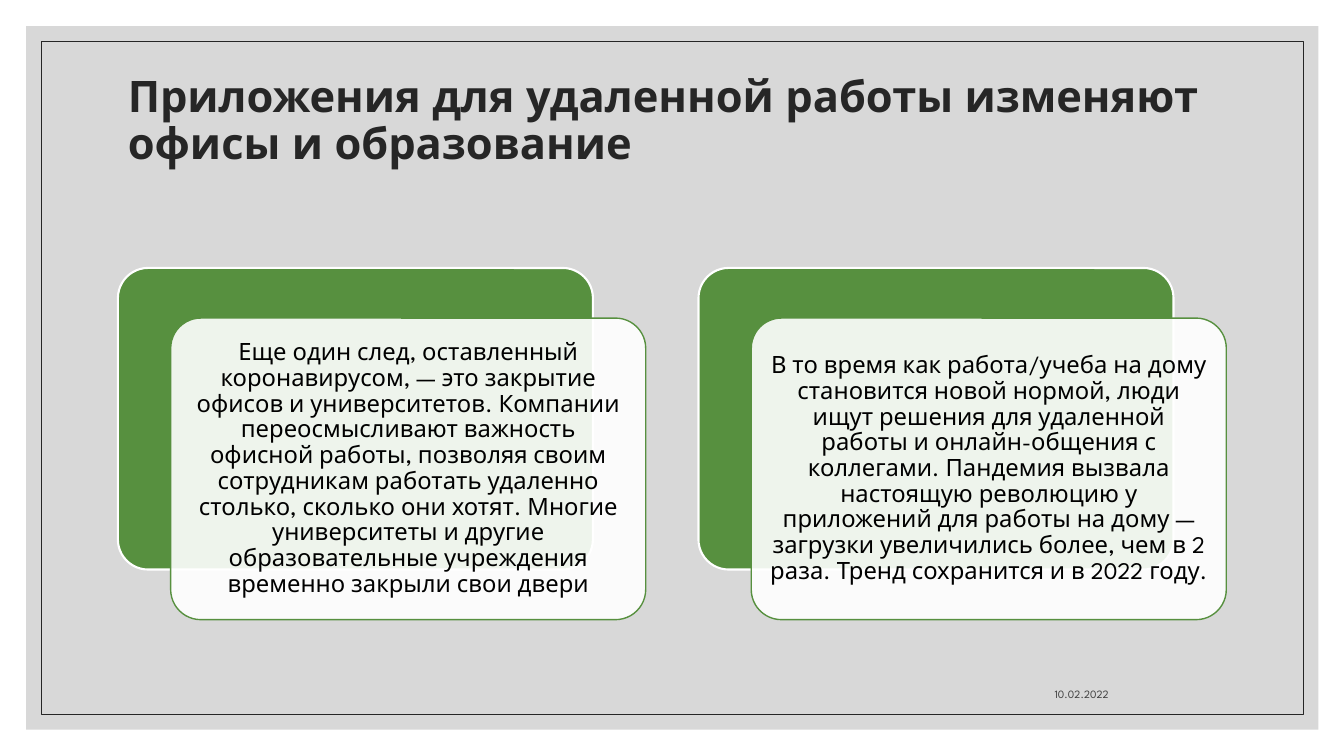
"""Build the slide on remote-work apps with two layered text cards."""
from dataclasses import dataclass

from lxml import etree
from pptx import Presentation
from pptx.dml.color import RGBColor
from pptx.enum import shapes, text
from pptx.oxml import ns
from pptx.util import Pt


@dataclass(frozen=True)
class Theme:
    font: str = "League Spartan"
    panel: str = "BFBFBF"
    ink: str = "262626"
    muted: str = "404040"
    green: str = "57903F"
    white: str = "FFFFFF"
    black: str = "000000"
    title_size: int = 31
    body_size: int = 17
    date_size: int = 8


theme = Theme()
deck = Presentation()
deck.slide_width, deck.slide_height = Pt(960), Pt(540)
page = deck.slides.add_slide(deck.slide_layouts[6])


def add_panel(kind, bounds, fill=None, opacity=100, line=None, width=0):
    """Draw a shape with an optional translucent fill and outline."""
    panel = page.shapes.add_shape(kind, *map(Pt, bounds))
    panel.shadow.inherit = False
    if fill:
        panel.fill.solid()
        panel.fill.fore_color.rgb = RGBColor.from_string(fill)
        if opacity < 100:
            color = panel.fill._xPr.find(".//" + ns.qn("a:srgbClr"))
            etree.SubElement(color, ns.qn("a:alpha"), val=str(opacity * 1000))
    else:
        panel.fill.background()
    if line:
        panel.line.color.rgb = RGBColor.from_string(line)
        panel.line.width = Pt(width)
    else:
        panel.line.fill.background()
    return panel


def add_text(bounds, words, size, color, align, anchor, bold=False, spacing=0.9, after=0):
    """Place one wrapped paragraph and return its text frame."""
    box = page.shapes.add_textbox(*map(Pt, bounds))
    frame = box.text_frame
    frame.word_wrap = True
    frame.vertical_anchor = anchor
    para = frame.paragraphs[0]
    para.alignment = align
    para.line_spacing = spacing
    para.space_after = Pt(after)
    span = para.add_run()
    span.text = words
    span.font.name = theme.font
    span.font.size = Pt(size)
    span.font.bold = bold
    span.font.color.rgb = RGBColor.from_string(color)
    return frame


add_panel(shapes.MSO_SHAPE.RECTANGLE, (18.72, 18.72, 923, 502.5), theme.panel, 60)
add_panel(shapes.MSO_SHAPE.RECTANGLE, (29.5, 29.5, 901.5, 481), line=theme.ink, width=0.5)

add_text((84.25, 50.4, 792, 108), "Приложения для удаленной работы изменяют офисы и образование",
         theme.title_size, theme.ink, text.PP_ALIGN.LEFT, text.MSO_ANCHOR.TOP, bold=True)
add_text((571.7, 475.2, 227.5, 28.8), "10.02.2022", theme.date_size, theme.muted,
         text.PP_ALIGN.RIGHT, text.MSO_ANCHOR.BOTTOM, spacing=1.0, after=6)

cards = [
    "Еще один след, оставленный коронавирусом, — это закрытие офисов и университетов. "
    "Компании переосмысливают важность офисной работы, позволяя своим сотрудникам работать "
    "удаленно столько, сколько они хотят. Многие университеты и другие образовательные "
    "учреждения временно закрыли свои двери",
    "В то время как работа/учеба на дому становится новой нормой, люди ищут решения для "
    "удаленной работы и онлайн-общения с коллегами. Пандемия вызвала настоящую революцию "
    "у приложений для работы на дому — загрузки увеличились более, чем в 2 раза. "
    "Тренд сохранится и в 2022 году.",
]
card_left, card_top, card_width, card_height = 84.25, 191.4, 339.3, 215.4
card_pitch, shift_x, shift_y, text_margin = 414.7, 37.7, 35.8, 6.3

for index, words in enumerate(cards):
    left = card_left + index * card_pitch
    front_left, front_top = left + shift_x, card_top + shift_y
    back = add_panel(shapes.MSO_SHAPE.ROUNDED_RECTANGLE,
                     (left, card_top, card_width, card_height),
                     theme.green, line=theme.white, width=1.5)
    front = add_panel(shapes.MSO_SHAPE.ROUNDED_RECTANGLE,
                      (front_left, front_top, card_width, card_height),
                      theme.white, 90, theme.green, 1)
    for card in (back, front):
        card.adjustments[0] = 0.1
    frame = add_text((front_left + text_margin, front_top + text_margin,
                      card_width - 2 * text_margin, card_height - 2 * text_margin),
                     words, theme.body_size, theme.black,
                     text.PP_ALIGN.CENTER, text.MSO_ANCHOR.MIDDLE, after=6)
    frame.margin_left = frame.margin_right = Pt(5)
    frame.margin_top = frame.margin_bottom = Pt(5)

deck.save("out.pptx")
